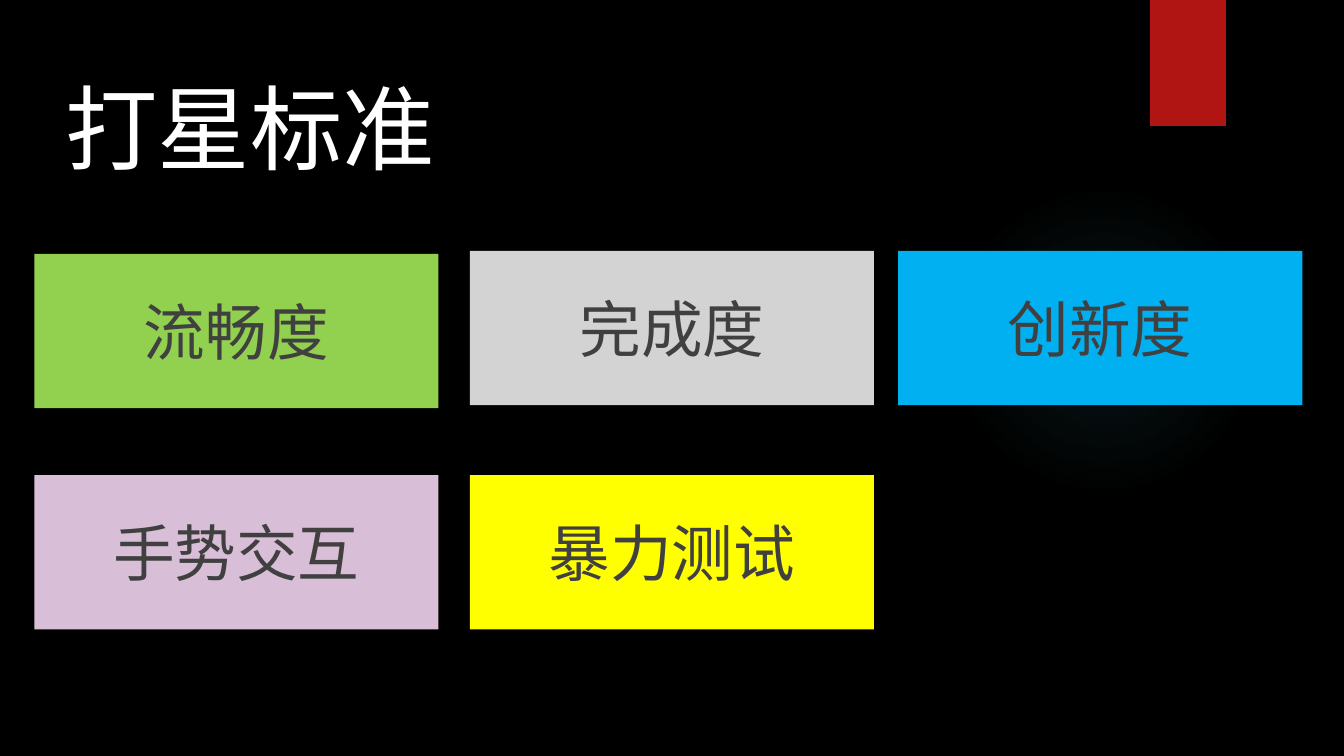
"""Build the slide that lists the five star-rating criteria."""
from pptx import Presentation
from pptx.dml.color import RGBColor
from pptx.enum.shapes import MSO_SHAPE as Shape
from pptx.enum.text import MSO_ANCHOR as Anchor, PP_ALIGN as Align
from pptx.oxml import parse_xml
from pptx.oxml.ns import nsdecls, qn
from pptx.util import Pt

FONT = "Noto Sans CJK SC"
WHITE, DARK_GREY, BLACK = "FFFFFF", "404040", "000000"
RED, TEAL = "B01513", "50B9C1"
CARD_WIDTH, CARD_HEIGHT = 288.7, 110.2
COLUMNS = (24.5, 335.6, 641.5)
TOP_ROW, BOTTOM_ROW = 179.2, 339.4
CARDS = (
    ("流畅度", "92D050", COLUMNS[0], 181.4),
    ("完成度", "D3D3D3", COLUMNS[1], TOP_ROW),
    ("创新度", "00B0F0", COLUMNS[2], TOP_ROW),
    ("手势交互", "D9BED7", COLUMNS[0], BOTTOM_ROW),
    ("暴力测试", "FFFF00", COLUMNS[1], BOTTOM_ROW),
)


def color(hex_string):
    return RGBColor.from_string(hex_string)


class SlideBuilder:
    def __init__(self, presentation, font, background):
        self.font = font
        self.slide = presentation.slides.add_slide(presentation.slide_layouts[5])
        fill = self.slide.background.fill
        fill.solid()
        fill.fore_color.rgb = color(background)

    def add_text(self, shape, text, size, text_color, align, anchor):
        frame = shape.text_frame
        frame.word_wrap = True
        frame.vertical_anchor = anchor
        paragraph = frame.paragraphs[0]
        paragraph.alignment = align
        run = paragraph.add_run()
        run.text = text
        run.font.size = Pt(size)
        run.font.color.rgb = color(text_color)
        run.font.name = self.font
        east_asian = parse_xml(f'<a:ea {nsdecls("a")} typeface="{self.font}"/>')
        run.font._element.append(east_asian)

    def title(self, text, left, top, width, height, size):
        shape = self.slide.shapes.title
        shape.left, shape.top = Pt(left), Pt(top)
        shape.width, shape.height = Pt(width), Pt(height)
        self.add_text(shape, text, size, WHITE, Align.LEFT, Anchor.BOTTOM)

    def plain_shape(self, preset, left, top, width, height):
        shape = self.slide.shapes.add_shape(
            preset, Pt(left), Pt(top), Pt(width), Pt(height))
        shape.shadow.inherit = False
        shape.line.fill.background()
        return shape

    def box(self, left, top, width, height, fill_color):
        shape = self.plain_shape(Shape.RECTANGLE, left, top, width, height)
        shape.fill.solid()
        shape.fill.fore_color.rgb = color(fill_color)
        return shape

    def card(self, text, fill_color, left, top):
        shape = self.box(left, top, CARD_WIDTH, CARD_HEIGHT, fill_color)
        self.add_text(shape, text, 44, DARK_GREY, Align.CENTER, Anchor.MIDDLE)

    def glow(self, left, top, diameter, glow_color, stops):
        shape = self.plain_shape(Shape.OVAL, left, top, diameter, diameter)
        shape.fill.background()
        stop_list = "".join(
            f'<a:gs pos="{position * 1000}"><a:srgbClr val="{glow_color}">'
            f'<a:alpha val="{opacity * 1000}"/></a:srgbClr></a:gs>'
            for position, opacity in stops)
        gradient = parse_xml(
            f'<a:gradFill {nsdecls("a")} rotWithShape="1"><a:gsLst>{stop_list}</a:gsLst>'
            '<a:path path="circle"><a:fillToRect l="50000" t="50000" r="50000" b="50000"/>'
            '</a:path></a:gradFill>')
        properties = shape._element.spPr
        properties.replace(properties.find(qn("a:noFill")), gradient)


presentation = Presentation()
presentation.slide_width, presentation.slide_height = Pt(960), Pt(540)
builder = SlideBuilder(presentation, FONT, BLACK)
builder.glow(677.5, 131.8, 221.8, TEAL, ((0, 7), (36, 6), (69, 0)))
builder.box(821.6, 0, 54, 90, RED)
builder.title("打星标准", 39.6, 10.1, 694.8, 123.8, 66)
for card in CARDS:
    builder.card(*card)
presentation.save("out.pptx")
